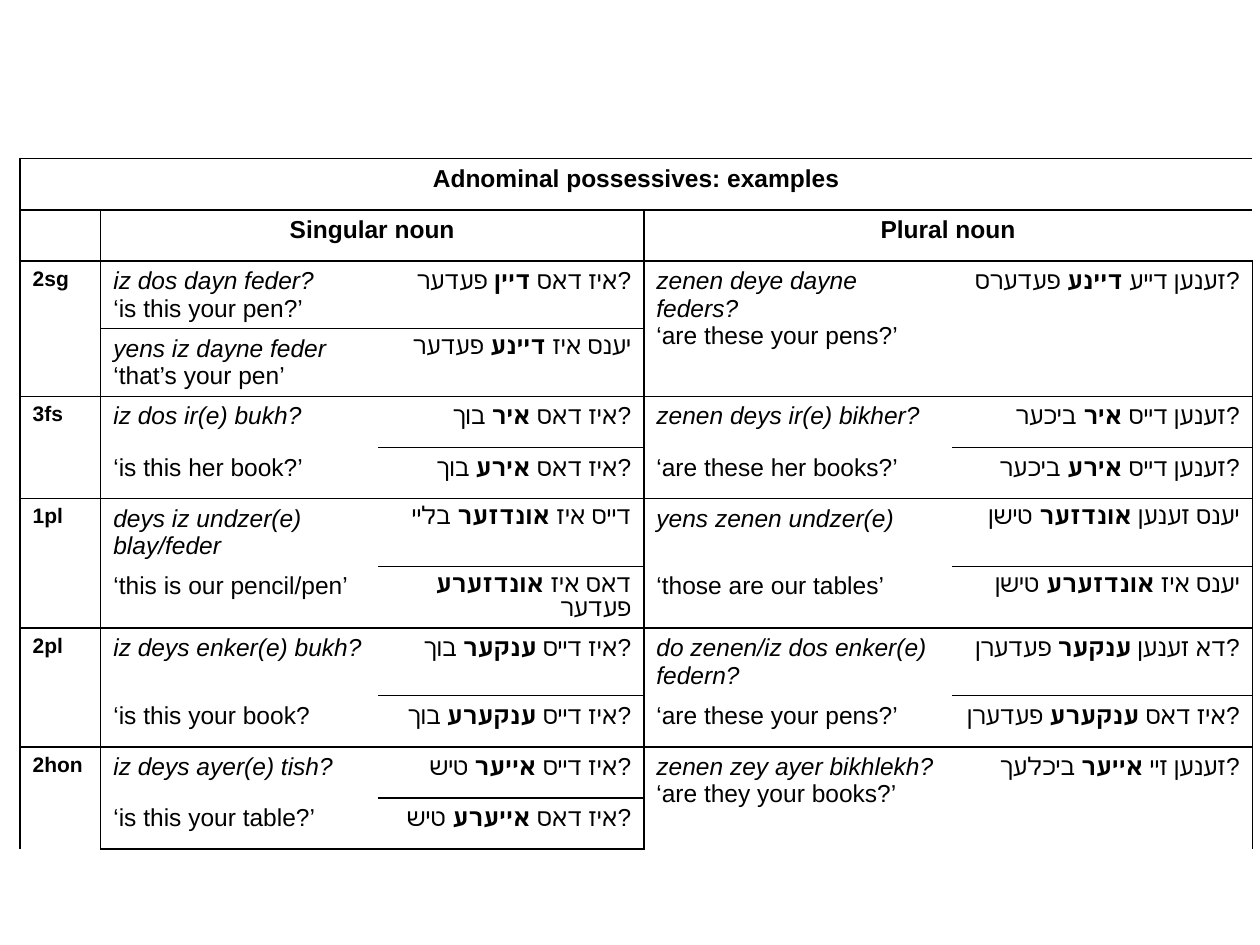
"""Builds a slide with a table of Yiddish adnominal possessives."""
from lxml.etree import SubElement
from pptx import Presentation
from pptx.dml.color import RGBColor
from pptx.enum.text import PP_ALIGN
from pptx.oxml import parse_xml
from pptx.oxml.ns import nsdecls, qn
from pptx.util import Inches, Pt

COLORS = {"ink": "000000"}
FONT = "Arial"
TITLE = "Adnominal possessives: examples"
NUMBERS = ["Singular noun", "Plural noun"]
EXAMPLES = [
    ("2sg",
     [("iz dos dayn feder?\n‘is this your pen?’", "איז דאס *דיין* פעדער?"),
      ("yens iz dayne feder\n‘that’s your pen’", "יענס איז *דיינע* פעדער")],
     [("zenen deye dayne feders?\n‘are these your pens?’", "זענען דייע *דיינע* פעדערס?")]),
    ("3fs",
     [("iz dos ir(e) bukh?", "איז דאס *איר* בוך?"),
      ("‘is this her book?’", "איז דאס *אירע* בוך?")],
     [("zenen deys ir(e) bikher?", "זענען דייס *איר *ביכער?"),
      ("‘are these her books?’", "זענען דייס *אירע *ביכער?")]),
    ("1pl",
     [("deys iz undzer(e) blay/feder", "דייס איז *אונדזער *בליי"),
      ("‘this is our pencil/pen’", "דאס איז *אונדזערע *פעדער")],
     [("yens zenen undzer(e)", "יענס זענען *אונדזער *טישן"),
      ("‘those are our tables’", "יענס איז *אונדזערע *טישן")]),
    ("2pl",
     [("iz deys enker(e) bukh?", "איז דייס *ענקער* בוך?"),
      ("‘is this your book?", "איז דייס *ענקערע* בוך?")],
     [("do zenen/iz dos enker(e) federn?", "דא זענען *ענקער* פעדערן?"),
      ("‘are these your pens?’", "איז דאס *ענקערע* פעדערן?")]),
    ("2hon",
     [("iz deys ayer(e) tish?", "איז דייס *אייער* טיש?"),
      ("‘is this your table?’", "איז דאס *אייערע *טיש?")],
     [("zenen zey ayer bikhlekh?\n‘are they your books?’", "זענען זיי *אייער* ביכלעך?")]),
]
COLUMNS = [0.64, 2.2, 2.11, 2.45, 2.38]
LEFT, TOP, HEIGHT = 0.16, 1.26, 4.87
HEADER_ROWS, ROWS_PER_PERSON = 2, 2


def write(cell, text, size=14, bold=False, align=PP_ALIGN.LEFT, italic_lines=()):
    """Fills a cell; text between asterisks switches bold."""
    frame = cell.text_frame
    for line_index, line in enumerate(text.split("\n")):
        paragraph = frame.add_paragraph() if line_index else frame.paragraphs[0]
        paragraph.alignment = align
        for part_index, part in enumerate(line.split("*")):
            run = paragraph.add_run()
            run.text = part
            run.font.name = FONT
            run.font.size = Pt(size)
            run.font.bold = bold or part_index % 2 == 1
            run.font.italic = line_index in italic_lines
            run.font.color.rgb = RGBColor.from_string(COLORS["ink"])


def set_borders(cell, sides):
    cell.fill.background()
    properties = cell._tc.get_or_add_tcPr()
    for index, side in enumerate("LRTB"):
        line = parse_xml(f'<a:ln{side} {nsdecls("a")} w="{Pt(1)}"/>')
        if side in sides:
            fill = SubElement(line, qn("a:solidFill"))
            SubElement(fill, qn("a:srgbClr"), val=COLORS["ink"])
        else:
            SubElement(line, qn("a:noFill"))
        properties.insert(index, line)


def place(table, row, column, text, rows=1, columns=1, sides="LRTB", **text_format):
    """Merges a block of cells, borders its outer edges and writes its text."""
    first = table.cell(row, column)
    if rows * columns > 1:
        first.merge(table.cell(row + rows - 1, column + columns - 1))
    for r in range(rows):
        for c in range(columns):
            outer = {"L": c == 0, "R": c == columns - 1, "T": r == 0, "B": r == rows - 1}
            set_borders(table.cell(row + r, column + c), [s for s in sides if outer[s]])
    if text:
        write(first, text, **text_format)


def place_example(table, row, column, rows, transcription, yiddish):
    opens = not transcription.startswith("‘")
    closes = "‘" in transcription
    sides = "L" + "T" * opens + "B" * closes
    place(table, row, column, transcription, rows=rows, sides=sides,
          italic_lines=(0,) if opens else ())
    place(table, row, column + 1, yiddish, rows=rows, sides="RTB", align=PP_ALIGN.RIGHT)


def main():
    presentation = Presentation()
    presentation.slide_width, presentation.slide_height = Inches(10), Inches(7.5)
    slide = presentation.slides.add_slide(presentation.slide_layouts[6])

    row_count = HEADER_ROWS + ROWS_PER_PERSON * len(EXAMPLES)
    table = slide.shapes.add_table(
        row_count, len(COLUMNS), Inches(LEFT), Inches(TOP),
        Inches(sum(COLUMNS)), Inches(HEIGHT)).table
    table.first_row = table.horz_banding = False
    for column, width in zip(table.columns, COLUMNS):
        column.width = Inches(width)

    heading = {"bold": True, "align": PP_ALIGN.CENTER}
    place(table, 0, 0, TITLE, columns=len(COLUMNS), **heading)
    place(table, 1, 0, "")
    for index, number in enumerate(NUMBERS):
        place(table, 1, 1 + 2 * index, number, columns=2, **heading)

    for index, (person, *groups) in enumerate(EXAMPLES):
        top_row = HEADER_ROWS + ROWS_PER_PERSON * index
        place(table, top_row, 0, person, rows=ROWS_PER_PERSON, size=12, bold=True)
        for group_index, group in enumerate(groups):
            rows = ROWS_PER_PERSON // len(group)
            for offset, example in enumerate(group):
                place_example(table, top_row + offset, 1 + 2 * group_index, rows, *example)

    presentation.save("out.pptx")


if __name__ == "__main__":
    main()
